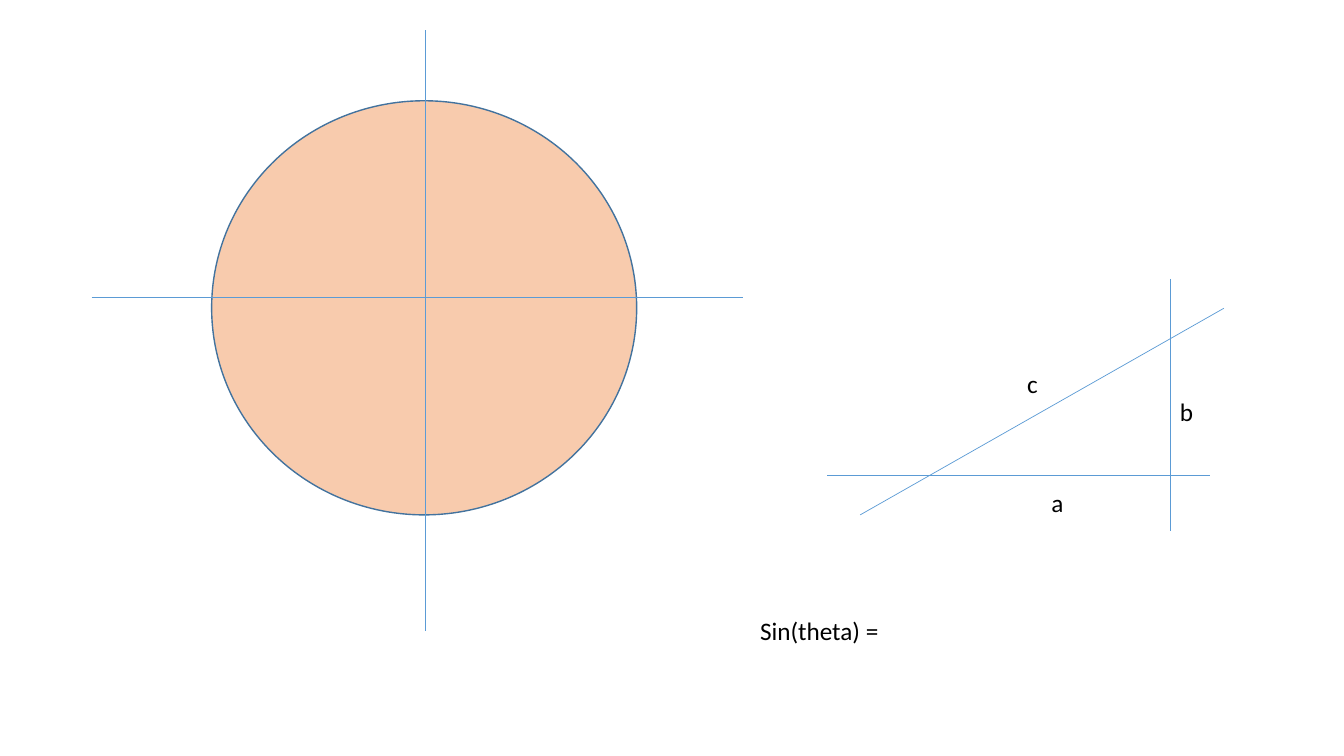
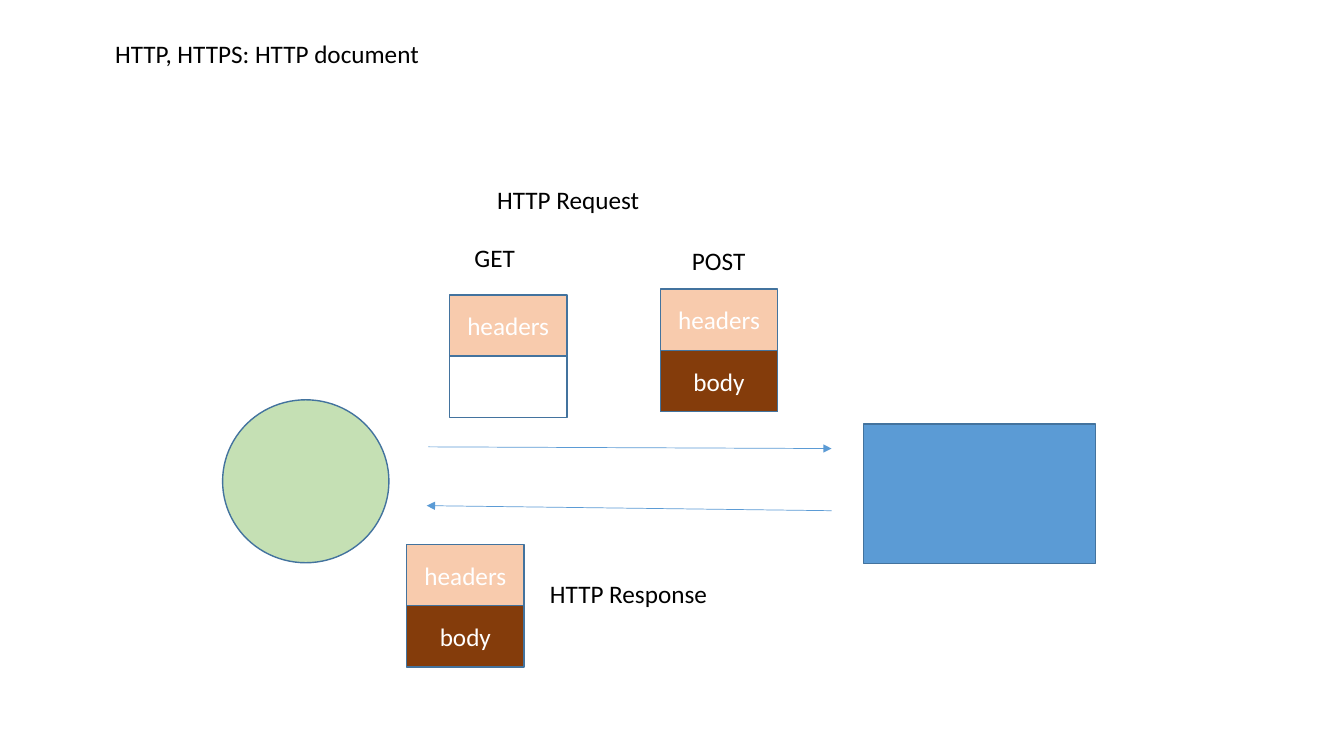
from dataclasses import dataclass

from lxml.etree import SubElement
from pptx import Presentation
from pptx.dml.color import RGBColor
from pptx.enum.shapes import MSO_CONNECTOR, MSO_SHAPE
from pptx.enum.text import MSO_ANCHOR, MSO_AUTO_SIZE, PP_ALIGN
from pptx.oxml.ns import qn
from pptx.util import Inches, Pt

COLUMNS, ROWS = 160, 90
CELL = Inches(1 / 12)
LABEL_ROWS = 4.8
PART_COLUMNS, PART_ROWS = 14, 7.3
TITLE_ONLY, BLANK = 5, 6


@dataclass(frozen=True)
class Theme:
    """Colours, font and sizes shared by the slides."""
    blue: str = "5B9BD5"
    outline: str = "43739E"
    peach: str = "F8CBAD"
    green: str = "C5E0B4"
    brown: str = "843C0B"
    white: str = "FFFFFF"
    black: str = "000000"
    font: str = "Calibri"
    text_size: float = 18
    outline_width: float = 1
    line_width: float = 0.5


THEME = Theme()


def cells(*counts):
    """Turn counts of grid cells into lengths."""
    return [round(count * CELL) for count in counts]


def write(paragraph, text, colour, alignment):
    """Add one formatted run to a paragraph."""
    paragraph.alignment = alignment
    run = paragraph.add_run()
    run.text = text
    run.font.name = THEME.font
    run.font.size = Pt(THEME.text_size)
    run.font.color.rgb = RGBColor.from_string(colour)


def add_label(slide, text, left, top, width):
    """Add a one-line text box."""
    box = slide.shapes.add_textbox(*cells(left, top, width, LABEL_ROWS))
    frame = box.text_frame
    frame.word_wrap = False
    frame.auto_size = MSO_AUTO_SIZE.SHAPE_TO_FIT_TEXT
    write(frame.paragraphs[0], text, THEME.black, PP_ALIGN.LEFT)


def set_title(slide, text, left, top, width):
    """Place and fill the title placeholder."""
    title = slide.shapes.title
    title.left, title.top, title.width, title.height = cells(left, top, width, LABEL_ROWS)
    frame = title.text_frame
    frame.word_wrap = False
    frame.auto_size = MSO_AUTO_SIZE.NONE
    frame.vertical_anchor = MSO_ANCHOR.TOP
    write(frame.paragraphs[0], text, THEME.black, PP_ALIGN.LEFT)


def add_figure(shapes, preset, fill, left, top, width, height, text=""):
    """Add an outlined preset shape, with centred text if given."""
    shape = shapes.add_shape(preset, *cells(left, top, width, height))
    shape.shadow.inherit = False
    shape.fill.solid()
    shape.fill.fore_color.rgb = RGBColor.from_string(fill)
    shape.line.color.rgb = RGBColor.from_string(THEME.outline)
    shape.line.width = Pt(THEME.outline_width)
    if text:
        shape.text_frame.vertical_anchor = MSO_ANCHOR.MIDDLE
        write(shape.text_frame.paragraphs[0], text, THEME.white, PP_ALIGN.CENTER)


def add_line(slide, start, end, arrow=False):
    """Draw a thin line, with an arrowhead at its end if asked."""
    connector = slide.shapes.add_connector(MSO_CONNECTOR.STRAIGHT, *cells(*start, *end))
    connector.line.color.rgb = RGBColor.from_string(THEME.blue)
    connector.line.width = Pt(THEME.line_width)
    if arrow:
        SubElement(connector.line._get_or_add_ln(), qn("a:tailEnd"), type="triangle")
    SubElement(connector._element.spPr, qn("a:effectLst"))


def add_message(slide, left, top, body_fill, body_text=""):
    """Group a headers box with the body box below it."""
    group = slide.shapes.add_group_shape()
    parts = [(THEME.peach, "headers"), (body_fill, body_text)]
    for index, (fill, text) in enumerate(parts):
        add_figure(group.shapes, MSO_SHAPE.RECTANGLE, fill, left,
                   top + index * PART_ROWS, PART_COLUMNS, PART_ROWS, text)


def build_trigonometry(slide):
    """Draw the circle with its axes and the triangle."""
    add_figure(slide.shapes, MSO_SHAPE.OVAL, THEME.peach, 25.2, 12, 50.6, 49.3)
    axes = [((10.9, 35.4), (88.4, 35.4)), ((50.6, 3.6), (50.6, 75.1))]
    sides = [((98.5, 56.6), (144, 56.6)), ((102.4, 61.3), (145.7, 36.7)),
             ((139.3, 33.2), (139.3, 63.2))]
    for start, end in axes + sides:
        add_line(slide, start, end)
    for label in [("c", 121.1, 43.3, 3.7), ("a", 124, 57.4, 3.8),
                  ("b", 139.3, 46.6, 4.1), ("Sin(theta) = ", 89.3, 72.7, 17.4)]:
        add_label(slide, *label)


def build_http(slide):
    """Draw the client, the server and the messages between them."""
    set_title(slide, "HTTP, HTTPS: HTTP document", 12.5, 4, 39)
    add_figure(slide.shapes, MSO_SHAPE.OVAL, THEME.green, 26.5, 47.6, 19.8, 19.4)
    add_figure(slide.shapes, MSO_SHAPE.RECTANGLE, THEME.blue, 102.8, 50.5, 27.6, 16.6)
    add_line(slide, (51, 53.2), (99, 53.4), arrow=True)
    add_line(slide, (99, 60.8), (50.8, 60.2), arrow=True)
    add_message(slide, 53.5, 35.1, THEME.white)
    add_message(slide, 48.4, 64.8, THEME.brown, "body")
    add_message(slide, 78.6, 34.4, THEME.brown, "body")
    for label in [("HTTP Request", 58, 21.4, 19.6), ("HTTP Response", 64.3, 68.3, 21.4),
                  ("GET", 55.3, 28.3, 7.3), ("POST", 81.2, 28.6, 8.8)]:
        add_label(slide, *label)


def main():
    """Build and save the presentation."""
    presentation = Presentation()
    presentation.slide_width, presentation.slide_height = cells(COLUMNS, ROWS)
    for layout, build in [(BLANK, build_trigonometry), (TITLE_ONLY, build_http)]:
        build(presentation.slides.add_slide(presentation.slide_layouts[layout]))
    presentation.save("out.pptx")


main()
